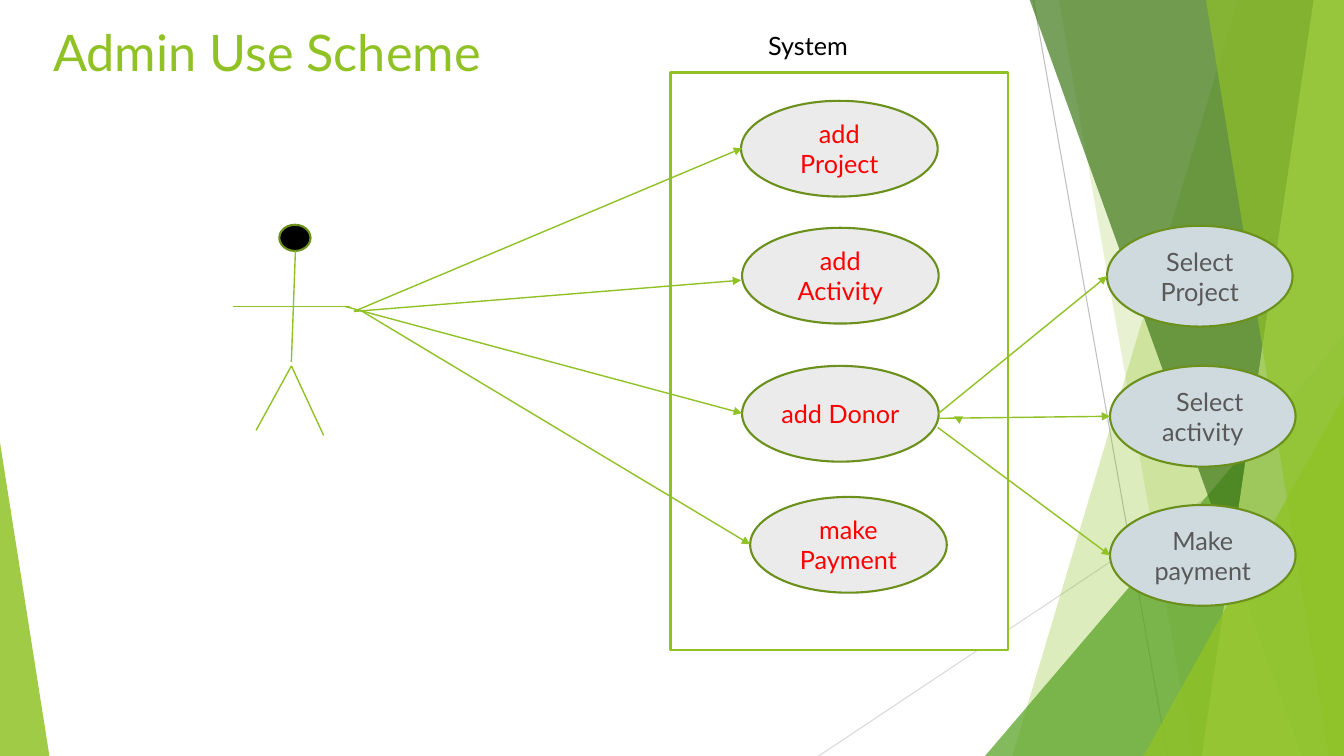
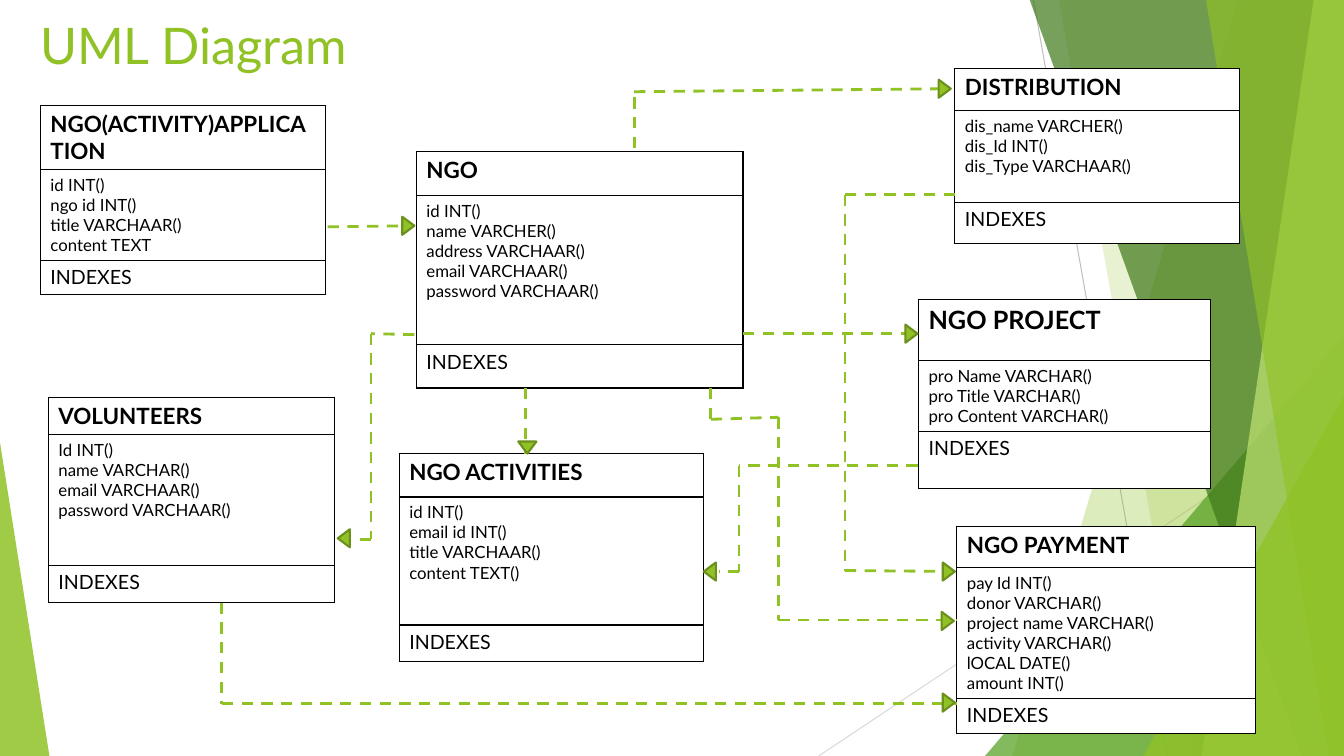
from itertools import pairwise

from lxml.etree import SubElement
from pptx import Presentation
from pptx.dml.color import RGBColor
from pptx.enum.dml import MSO_LINE
from pptx.enum.shapes import MSO_CONNECTOR, MSO_SHAPE as Preset
from pptx.enum.text import MSO_ANCHOR as Anchor, PP_ALIGN as Align
from pptx.oxml.ns import qn
from pptx.util import Inches, Pt

FONT = "Lato"
LIME, OLIVE, GREEN, FOREST, PALE = "90C226", "6B901C", "54A021", "3F7819", "C0E474"
BLACK, WHITE, RED, GREY = "000000", "FFFFFF", "FF0000", "595959"
CASE_FILL, OPTION_FILL = "EBEBEB", "CFDADF"
RIGHT, DOWN, LEFT = 90, 180, 270
WIDTH, HEIGHT = 13.33, 7.5

# Corners of the see-through bands: top left, bottom left, colour, opacity
BANDS_BEHIND = [(12.28, 10.04, LIME, 30), (10.5, 11.83, LIME, 20)]
BANDS_FRONT = [(10.21, 12.91, FOREST, 70), (13.03, 11.92, PALE, 70),
               (11.96, 13.18, LIME, 65)]


def rgb(code):
    """Turn a hex string into a colour."""
    return RGBColor.from_string(code)


def inches(*lengths):
    """Convert several lengths to inches."""
    return [Inches(length) for length in lengths]


class Deck:
    """The style of the presentation and the slide being drawn."""

    def __init__(self):
        """Start an empty widescreen presentation."""
        self.prs = Presentation()
        self.prs.slide_width, self.prs.slide_height = inches(WIDTH, HEIGHT)
        self.shapes = None

    def new_slide(self, title, left, top):
        """Add a slide with the shared backdrop and a title."""
        self.shapes = self.prs.slides.add_slide(self.prs.slide_layouts[6]).shapes
        self.backdrop()
        self.text(title, (left, top, 9.4, 1.05), 36, LIME)

    def backdrop(self):
        """Draw the green facets along both edges."""
        self.line((10.25, 0), (11.58, HEIGHT), "BFBFBF", 0.75)
        self.line((WIDTH, 4.03), (8.12, HEIGHT), "D9D9D9", 0.75)
        for band in BANDS_BEHIND:
            self.band(*band)
        self.facet((9.77, 3.33, 3.56, 4.17), 1, GREEN, 72)
        for band in BANDS_FRONT:
            self.band(*band)
        self.facet((11.34, 3.93, 1.99, 3.57), 1, LIME, 80)
        self.facet((0, 4.39, 0.49, 3.11), 0, LIME, 85)

    def paint(self, shape, fill, outline=None, opacity=100):
        """Set fill, outline and opacity, without a shadow."""
        shape.shadow.inherit = False
        shape.fill.solid()
        shape.fill.fore_color.rgb = rgb(fill)
        if opacity < 100:
            color = shape._element.spPr.find(qn("a:solidFill"))[0]
            SubElement(color, qn("a:alpha"), val=str(opacity * 1000))
        if outline:
            shape.line.color.rgb = rgb(outline)
            shape.line.width = Pt(1.5)
        else:
            shape.line.fill.background()

    def band(self, top_x, bottom_x, fill, opacity):
        """Draw a slanted band that reaches the right edge."""
        corners = [(WIDTH, -0.01), (WIDTH, HEIGHT), (bottom_x, HEIGHT)]
        builder = self.shapes.build_freeform(*inches(top_x, -0.01))
        builder.add_line_segments([inches(*corner) for corner in corners])
        self.paint(builder.convert_to_shape(), fill, opacity=opacity)

    def facet(self, box, apex, fill, opacity):
        """Draw a right triangle of the backdrop."""
        triangle = self.shapes.add_shape(Preset.ISOSCELES_TRIANGLE, *inches(*box))
        triangle.adjustments[0] = apex
        self.paint(triangle, fill, opacity=opacity)

    def fill_text(self, frame, text, size, color, align=Align.LEFT, bold=False):
        """Fill a text frame, one paragraph per line."""
        frame.word_wrap = True
        frame.text = text
        for paragraph in frame.paragraphs:
            paragraph.alignment = align
            font = paragraph.font
            font.name, font.size, font.bold = FONT, Pt(size), bold
            font.color.rgb = rgb(color)

    def text(self, text, box, size, color):
        """Add a text box."""
        label = self.shapes.add_textbox(*inches(*box))
        self.fill_text(label.text_frame, text, size, color)

    def shape(self, preset, box, fill, outline=OLIVE):
        """Add an outlined preset shape."""
        shape = self.shapes.add_shape(preset, *inches(*box))
        self.paint(shape, fill, outline)
        return shape

    def use_case(self, text, box, fill, color, indent=0):
        """Add an ellipse with centred text."""
        frame = self.shape(Preset.OVAL, box, fill).text_frame
        frame.margin_left = frame.margin_right = Inches(0.09)
        frame.vertical_anchor = Anchor.MIDDLE
        self.fill_text(frame, text, 18, color, Align.CENTER)
        if indent:
            properties = frame.paragraphs[0]._p.get_or_add_pPr()
            properties.set("indent", str(Inches(indent)))

    def line(self, start, end, color=LIME, width=1, arrow=False, dashed=False):
        """Add a straight line, with an arrowhead at its end if asked."""
        line = self.shapes.add_connector(
            MSO_CONNECTOR.STRAIGHT, *inches(*start, *end))
        line.line.color.rgb = rgb(color)
        line.line.width = Pt(width)
        if dashed:
            line.line.dash_style = MSO_LINE.DASH
        if arrow:
            outline = line._element.spPr.find(qn("a:ln"))
            SubElement(outline, qn("a:tailEnd"), type="triangle")
        SubElement(line._element.spPr, qn("a:effectLst"))

    def route(self, points, head, direction):
        """Add a dashed path and the triangle centred on head."""
        for start, end in pairwise(points):
            self.line(start, end, width=2, dashed=True)
        x, y = head
        tip = self.shape(Preset.ISOSCELES_TRIANGLE,
                         (x - 0.09, y - 0.06, 0.18, 0.12), LIME)
        tip.rotation = direction

    def entity(self, name, fields, place, width, heights, name_size=16):
        """Add a one-column table: name, fields and indexes."""
        table = self.shapes.add_table(
            3, 1, *inches(*place, width, sum(heights))).table
        table.first_row = table.horz_banding = False
        parts = [(name, name_size, True), ("\n".join(fields), 12, False),
                 ("INDEXES", 14, False)]
        for row, height, (text, size, bold) in zip(table.rows, heights, parts):
            row.height = Inches(height)
            cell = row.cells[0]
            self.fill_text(cell.text_frame, text, size, BLACK, bold=bold)
            self.border(cell)
            cell.fill.solid()
            cell.fill.fore_color.rgb = rgb(WHITE)

    def border(self, cell):
        """Give a cell thin black borders."""
        properties = cell._tc.get_or_add_tcPr()
        for side in ("lnL", "lnR", "lnT", "lnB"):
            edge = SubElement(properties, qn(f"a:{side}"), w=str(Pt(1)))
            fill = SubElement(edge, qn("a:solidFill"))
            SubElement(fill, qn("a:srgbClr"), val=BLACK)


def draw_use_cases(deck):
    """Draw the admin and the use cases of the system."""
    deck.new_slide("Admin Use Scheme", 0.43, 0.16)
    deck.shape(Preset.RECTANGLE, (6.65, 0.72, 3.35, 5.73), WHITE, LIME)
    deck.text("System", (7.52, 0.25, 3, 0.4), 18, BLACK)

    deck.shape(Preset.OVAL, (2.77, 2.23, 0.31, 0.26), BLACK)
    hip = (2.89, 3.63)
    limbs = [((2.31, 3.04), (3.47, 3.04)), ((2.93, 2.49), (2.89, 3.59)),
             ((2.54, 4.27), hip), (hip, (3.21, 4.32))]
    for start, end in limbs:
        deck.line(start, end)

    cases = [("add Project", 7.35, 1), ("add Activity", 7.36, 2.26),
             ("add Donor", 7.36, 3.63), ("make Payment", 7.44, 4.93)]
    for text, left, top in cases:
        deck.use_case(text, (left, top, 1.95, 0.95), CASE_FILL, RED)
    options = [("Select Project", 10.98, 2.24, 0),
               ("Select activity", 11.01, 3.63, 0.14),
               ("Make\npayment", 11.01, 5.01, 0)]
    for text, left, top, indent in options:
        deck.use_case(text, (left, top, 1.84, 1), OPTION_FILL, GREY, indent)

    arrows = [
        ((3.51, 3.09), (7.36, 1.47)), ((3.51, 3.09), (7.35, 2.78)),
        ((3.42, 3.04), (7.36, 4.1)), ((3.56, 3.07), (7.44, 5.4)),
        ((9.31, 4.1), (10.98, 2.74)), ((9.31, 4.15), (11.01, 4.13)),
        ((9.3, 4.24), (11.01, 5.51)), ((9.5, 4.15), (9.46, 4.13)),
    ]
    for start, end in arrows:
        deck.line(start, end, arrow=True)


def draw_entities(deck):
    """Draw the entity tables and the routes between them."""
    deck.new_slide("UML Diagram", 0.3, 0.09)
    deck.entity("NGO(ACTIVITY)APPLICATION",
                ["id INT()", "ngo id INT()", "title VARCHAAR()", "content TEXT"],
                (0.4, 1.05), 2.83, (0.63, 0.9, 0.34))
    deck.entity("NGO ACTIVITIES",
                ["id INT()", "email id INT()", "title VARCHAAR()",
                 "content TEXT()"],
                (3.96, 4.5), 3.02, (0.43, 1.27, 0.36))
    deck.entity("NGO",
                ["id INT()", "name VARCHER()", "address VARCHAAR()",
                 "email VARCHAAR()", "password VARCHAAR()"],
                (4.13, 1.5), 3.24, (0.44, 1.48, 0.43))
    deck.entity("DISTRIBUTION",
                ["dis_name VARCHER()", "dis_Id INT()", "dis_Type VARCHAAR()"],
                (9.47, 0.68), 2.82, (0.42, 0.91, 0.41))
    deck.entity("VOLUNTEERS",
                ["Id INT()", "name VARCHAR()", "email VARCHAAR()",
                 "password VARCHAAR()"],
                (0.48, 3.94), 2.84, (0.37, 1.3, 0.37))
    deck.entity("NGO PROJECT",
                ["pro Name VARCHAR()", "pro Title VARCHAR()",
                 "pro Content VARCHAR()"],
                (9.11, 2.97), 2.9, (0.61, 0.7, 0.57), name_size=18)
    deck.entity("NGO PAYMENT",
                ["pay Id INT()", "donor VARCHAR()", "project name VARCHAR()",
                 "activity VARCHAR()", "lOCAL DATE()", "amount INT()"],
                (9.49, 5.22), 2.96, (0.41, 1.29, 0.35))

    routes = [
        ([(6.29, 1.47), (6.29, 0.91), (9.43, 0.88)], (9.37, 0.88), RIGHT),
        ([(5.21, 3.85), (5.21, 4.5)], (5.23, 4.44), DOWN),
        ([(7.05, 3.85), (7.05, 4.16), (7.72, 4.14), (7.72, 6.15), (9.49, 6.15)],
         (9.4, 6.16), RIGHT),
        ([(3.25, 2.25), (4.11, 2.24)], (4.05, 2.24), RIGHT),
        ([(4.11, 3.32), (3.68, 3.31), (3.68, 5.35), (3.38, 5.35)],
         (3.41, 5.34), LEFT),
        ([(7.37, 3.31), (9.11, 3.31)], (9.04, 3.31), RIGHT),
        ([(9.47, 1.93), (8.38, 1.93), (8.38, 5.66), (9.47, 5.67)],
         (9.41, 5.67), RIGHT),
        ([(9.1, 4.62), (7.33, 4.62), (7.33, 5.67), (7.13, 5.67)],
         (7.04, 5.67), LEFT),
        ([(2.2, 5.98), (2.2, 6.98), (9.49, 6.98)], (9.41, 6.97), RIGHT),
    ]
    for points, head, direction in routes:
        deck.route(points, head, direction)


deck = Deck()
draw_use_cases(deck)
draw_entities(deck)
deck.prs.save("out.pptx")
